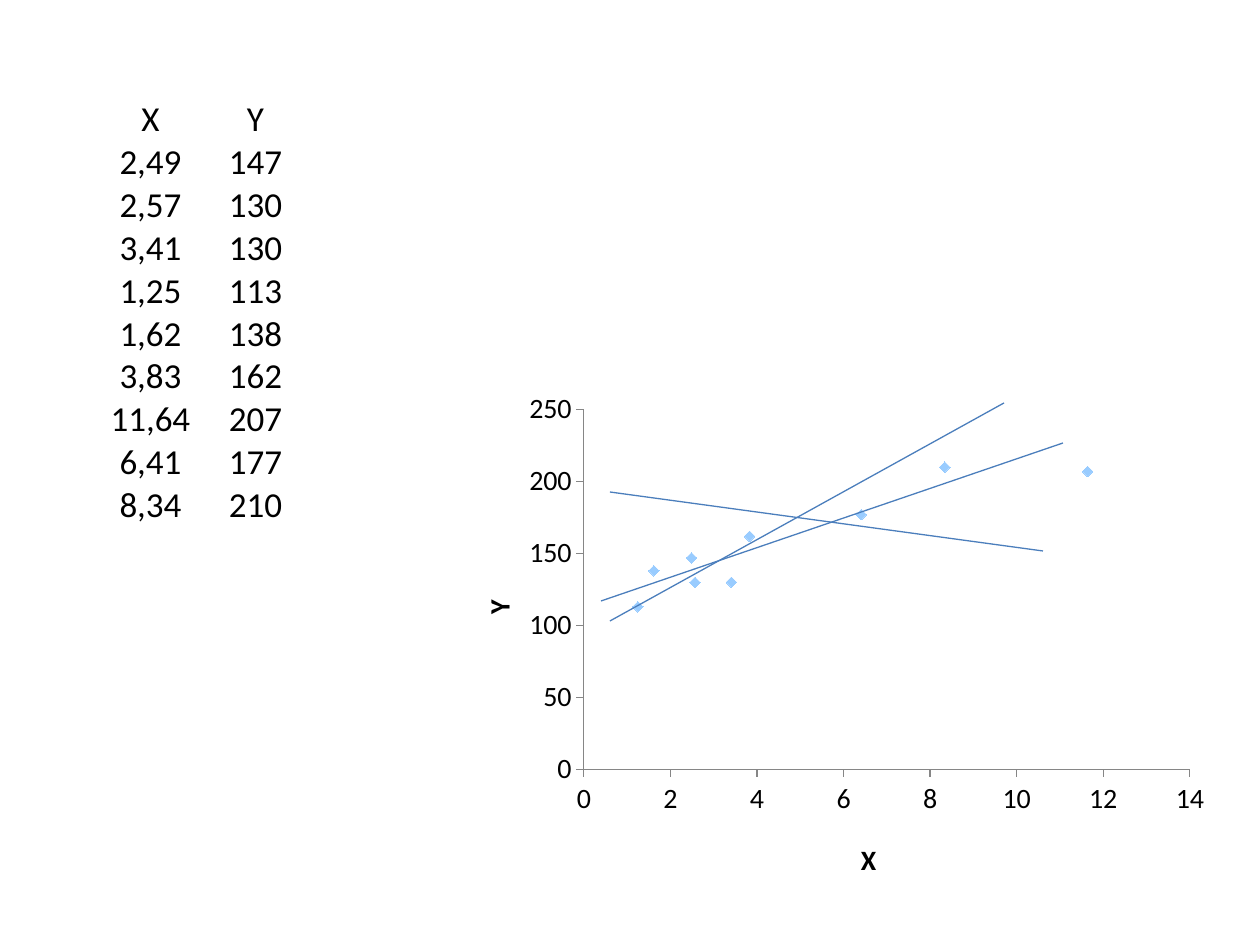
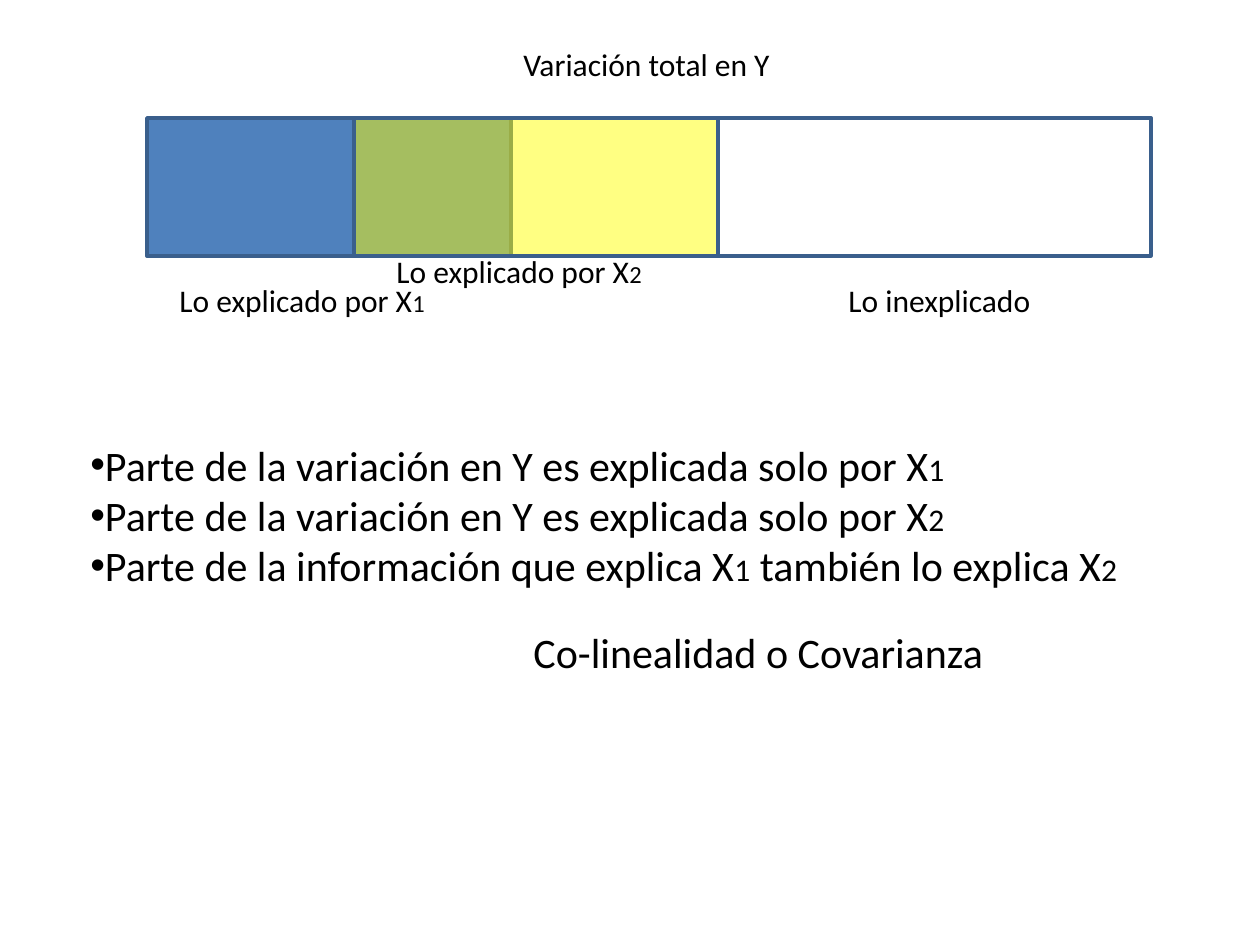
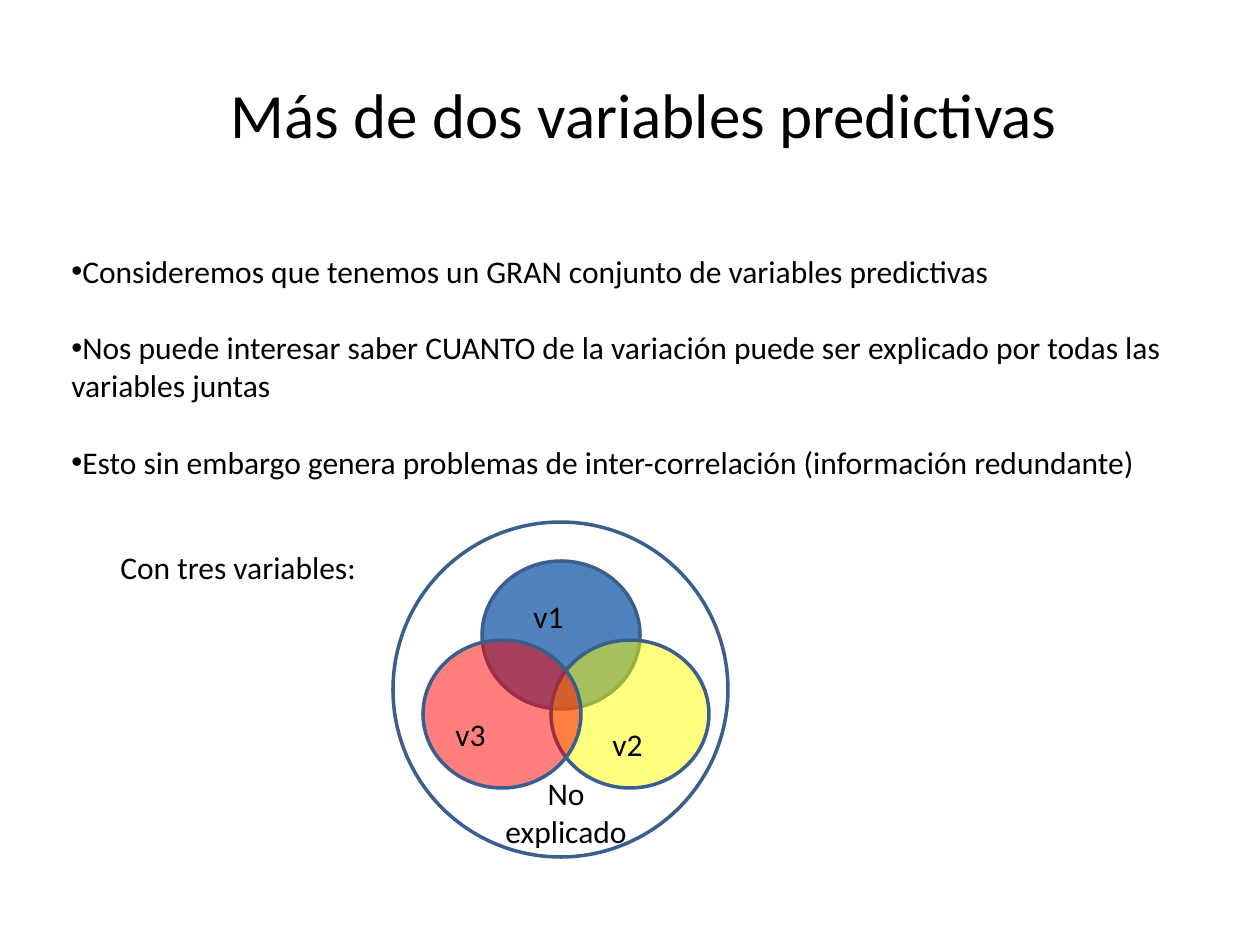
from lxml import etree
from pptx import Presentation
from pptx.chart.data import XyChartData
from pptx.dml.color import RGBColor
from pptx.enum.chart import XL_CHART_TYPE, XL_MARKER_STYLE, XL_TICK_MARK
from pptx.enum.shapes import MSO_CONNECTOR, MSO_SHAPE
from pptx.enum.text import MSO_ANCHOR, PP_ALIGN
from pptx.oxml import parse_xml
from pptx.oxml.ns import nsdecls, qn
from pptx.util import Pt

PX = 914400 / 126
FONT = "Calibri"
BLACK, WHITE, BLUE, EDGE = "000000", "FFFFFF", "4F81BD", "3A5F8C"
YELLOW, RED, LINE, DOT, AXIS = "FFFF00", "FF0000", "4B7EBC", "99CCFF", "868686"
RECT, OVAL = MSO_SHAPE.RECTANGLE, MSO_SHAPE.OVAL
LEFT, CENTER = PP_ALIGN.LEFT, PP_ALIGN.CENTER
BOTTOM = MSO_ANCHOR.BOTTOM
STRAIGHT = MSO_CONNECTOR.STRAIGHT
SCATTER = XL_CHART_TYPE.XY_SCATTER
DIAMOND = XL_MARKER_STYLE.DIAMOND
OUTSIDE = XL_TICK_MARK.OUTSIDE

POINTS = [(2.49, 147), (2.57, 130), (3.41, 130), (1.25, 113), (1.62, 138),
          (3.83, 162), (11.64, 207), (6.41, 177), (8.34, 210)]


def emu(*sizes):
    return [round(size * PX) for size in sizes]


def color(code):
    return RGBColor.from_string(code)


def style(font, size=None, bold=None):
    font.name = FONT
    font.color.rgb = color(BLACK)
    if size:
        font.size = Pt(size)
    if bold is not None:
        font.bold = bold


def text(shapes, box, lines, size=18, small=14, align=LEFT, bullet=False, gap=0):
    """Write lines; pieces between bars alternate between size and small."""
    frame = shapes.add_textbox(*emu(*box)).text_frame
    frame.word_wrap = True
    for i, line in enumerate(lines):
        para = frame.paragraphs[0] if i == 0 else frame.add_paragraph()
        para.alignment = align
        if i and gap:
            para.space_before = Pt(gap)
        if bullet:
            props = para._p.get_or_add_pPr()
            etree.SubElement(props, qn("a:buFont")).set("typeface", "Arial")
            etree.SubElement(props, qn("a:buChar")).set("char", "•")
        parts = [part for part in line.split("|") if part]
        style(para.font, size)
        for j, part in enumerate(parts):
            run = para.add_run()
            run.text = part
            if len(parts) > 1:
                run.font.size = Pt((size, small)[j % 2])


def area(shapes, kind, box, fill=None, alpha=None):
    shape = shapes.add_shape(kind, *emu(*box))
    shape.shadow.inherit = False
    shape.line.color.rgb = color(EDGE)
    shape.line.width = Pt(2)
    if not fill:
        shape.fill.background()
        return
    shape.fill.solid()
    shape.fill.fore_color.rgb = color(fill)
    if alpha:
        tint = shape._element.spPr.find(qn("a:solidFill"))[0]
        etree.SubElement(tint, qn("a:alpha")).set("val", str(alpha * 1000))


# Slide 1: data and candidate lines
def table(shapes, x, y, wide=105, high=42):
    rows = [("X", "Y")] + [(f"{a:.2f}".replace(".", ","), str(b)) for a, b in POINTS]
    grid = shapes.add_table(len(rows), 2, *emu(x, y, 2 * wide, high * len(rows))).table
    grid.first_row = grid.horz_banding = False
    for r, row in enumerate(rows):
        for c, value in enumerate(row):
            cell = grid.cell(r, c)
            cell.fill.background()
            cell.margin_left = cell.margin_right = 0
            cell.margin_top = cell.margin_bottom = 0
            cell.vertical_anchor = BOTTOM
            cell.text = value
            para = cell.text_frame.paragraphs[0]
            para.alignment = CENTER
            style(para.font, 20)


def place(node, x, y, w=None, h=None):
    """Build a manual layout as shares of the chart."""
    inner = '<c:layoutTarget val="inner"/>' if w else ""
    sizes = f'<c:w val="{w}"/><c:h val="{h}"/>' if w else ""
    old = node.find(qn("c:layout"))
    if old is not None:
        node.remove(old)
    layout = parse_xml(
        f'<c:layout {nsdecls("c")}><c:manualLayout>{inner}<c:xMode val="edge"/>'
        f'<c:yMode val="edge"/><c:x val="{x}"/><c:y val="{y}"/>{sizes}'
        '</c:manualLayout></c:layout>')
    spot = node.find(qn("c:tx"))
    node.insert(0 if spot is None else node.index(spot) + 1, layout)


def axis(side, name, top, step, spot):
    side.minimum_scale, side.maximum_scale, side.major_unit = 0, top, step
    side.has_major_gridlines = False
    side.major_tick_mark = OUTSIDE
    side.format.line.color.rgb = color(AXIS)
    side.tick_labels.number_format = "General"
    side.tick_labels.number_format_is_linked = False
    style(side.tick_labels.font, 16)
    side.axis_title.text_frame.text = name
    style(side.axis_title.text_frame.paragraphs[0].font, 16, True)
    place(side.axis_title._element, *spot)


def scatter(shapes, x, y, w, h):
    data = XyChartData()
    series = data.add_series("Series 1")
    for point in POINTS:
        series.add_data_point(*point)
    chart = shapes.add_chart(SCATTER, *emu(x, y, w, h), data).chart
    chart.has_legend = chart.has_title = False
    style(chart.font, 16)
    axis(chart.category_axis, "X", 14, 2, (0.53, 0.88))
    axis(chart.value_axis, "Y", 250, 50, (0.04, 0.41))
    plot = chart.plots[0]
    plot.vary_by_categories = False
    dots = plot.series[0]
    dots.smooth = False
    dots.format.line.fill.background()
    dots.marker.style, dots.marker.size = DIAMOND, 6
    dots.marker.format.fill.solid()
    dots.marker.format.fill.fore_color.rgb = color(DOT)
    dots.marker.format.line.color.rgb = color(DOT)
    place(chart._chartSpace.chart.plotArea, 0.18, 0.05, 0.78, 0.7)
    # Candidate lines over the points
    for ends in ((157, 217, 619, 59), (166, 237, 560, 19), (166, 108, 599, 167)):
        x1, y1, x2, y2 = ends
        link = shapes.add_connector(STRAIGHT, *emu(x + x1, y + y1, x + x2, y + y2))
        link.line.color.rgb = color(LINE)
        link.line.width = Pt(0.75)
        etree.SubElement(link._element.spPr, qn("a:effectLst"))


def data_slide(shapes):
    scatter(shapes, 444, 384, 777, 514)
    table(shapes, 98, 98)


# Slide 2: shares of the variation in Y
def bar(shapes, x, y, high=138):
    area(shapes, RECT, (x, y, 364, high), BLUE)
    area(shapes, RECT, (x + 364, y, 640, high), WHITE)
    text(shapes, (x + 364, y - 79, 295, 50), ["Variación total en Y"])
    text(shapes, (x + 20, y + 157, 335, 50), ["Lo explicado por X|1"])
    text(shapes, (x + 689, y + 157, 335, 50), ["Lo inexplicado"])
    area(shapes, RECT, (x + 207, y, 364, high), YELLOW, 49)
    text(shapes, (x + 237, y + 128, 335, 50), ["Lo explicado por X|2"])


def share_slide(shapes):
    bar(shapes, 147, 118)
    text(shapes, (78, 433, 1082, 165), [
        "Parte de la variación en Y es explicada solo por X|1",
        "Parte de la variación en Y es explicada solo por X|2",
        "Parte de la información que explica X|1| también lo explica X|2",
    ], 24, 18, bullet=True)
    text(shapes, (521, 620, 630, 64), ["Co-linealidad o Covarianza"], 24)


# Slide 3: three overlapping variables
def venn(shapes, x, y, size=335):
    group = shapes.add_group_shape().shapes
    area(group, OVAL, (x, y, size, size))
    for dx, dy, fill, alpha in ((89, 39, BLUE, None), (158, 118, YELLOW, 50),
                                (30, 118, RED, 50)):
        area(group, OVAL, (x + dx, y + dy, 158, 148), fill, alpha)
    for dx, dy, name in ((128, 69, "v1"), (207, 197, "v2"), (50, 187, "v3")):
        text(group, (x + dx, y + dy, 88, 50), [name])
    text(group, (x + 83, y + 246, 180, 89), ["No explicado"], align=CENTER)


def venn_slide(shapes):
    text(shapes, (147, 69, 994, 89), ["Más de dos variables predictivas"], 36,
         align=CENTER)
    text(shapes, (59, 246, 1123, 318), [
        "Consideremos que tenemos un GRAN conjunto de variables predictivas",
        "Nos puede interesar saber CUANTO de la variación puede ser explicado "
        "por todas las variables juntas",
        "Esto sin embargo genera problemas de inter-correlación "
        "(información redundante)",
    ], bullet=True, gap=22)
    venn(shapes, 393, 522)
    text(shapes, (108, 542, 325, 50), ["Con tres variables:"])


def main():
    deck = Presentation()
    deck.slide_width, deck.slide_height = emu(1260, 945)
    for build in (data_slide, share_slide, venn_slide):
        build(deck.slides.add_slide(deck.slide_layouts[6]).shapes)
    deck.save("out.pptx")


if __name__ == "__main__":
    main()
